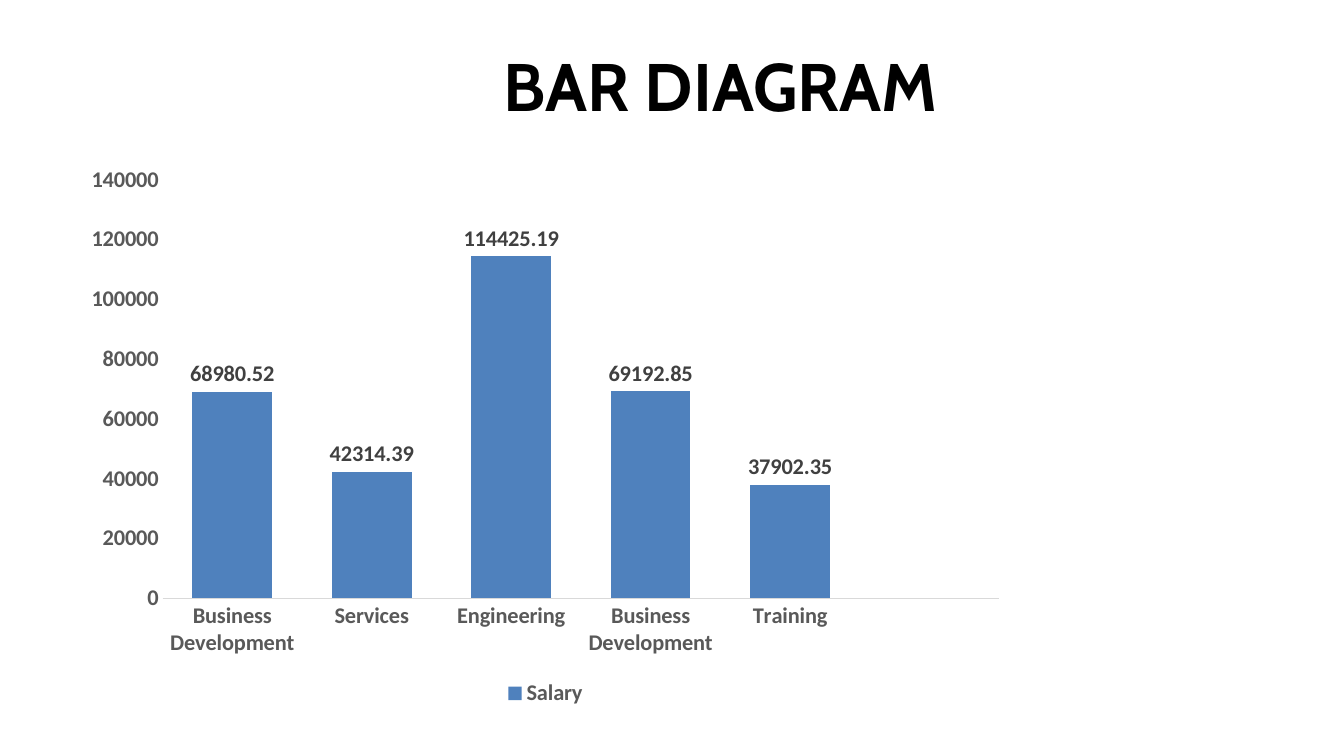
from typing import NamedTuple, Optional

from pptx import Presentation
from pptx import util as u
from pptx.chart.chart import Chart
from pptx.chart.data import CategoryChartData
from pptx.dml.color import RGBColor
from pptx.enum import chart as charts, text
from pptx.text.text import Font

COLOURS = {
    "title": "000000",
    "bar": "4F81BD",
    "axis_text": "595959",
    "label_text": "404040",
    "axis_line": "D9D9D9",
}


class Department(NamedTuple):
    name: str
    salary: Optional[float]


DEPARTMENTS = [
    Department("Business Development", 68980.52),
    Department("Services", 42314.39),
    Department("Engineering", 114425.19),
    Department("Business Development", 69192.85),
    Department("Training", 37902.35),
    Department("", None),
]


def colour(name: str) -> RGBColor:
    return RGBColor.from_string(COLOURS[name])


def style_font(font: Font, family: str, size: float, colour_name: str) -> None:
    font.name = family
    font.size = u.Pt(size)
    font.bold = True
    font.color.rgb = colour(colour_name)


def add_title(slide, wording: str) -> None:
    shape = slide.shapes.add_textbox(u.Cm(3.33), u.Cm(1.12), u.Cm(29.67), u.Cm(2.11))
    frame = shape.text_frame
    frame.word_wrap = True
    frame.margin_left = frame.margin_right = frame.margin_top = frame.margin_bottom = 0
    frame.text = wording
    paragraph = frame.paragraphs[0]
    paragraph.alignment = text.PP_ALIGN.CENTER
    style_font(paragraph.runs[0].font, "Cabin", 48, "title")


def style_axes(chart: Chart) -> None:
    for axis in (chart.category_axis, chart.value_axis):
        axis.has_major_gridlines = False
        axis.major_tick_mark = axis.minor_tick_mark = charts.XL_TICK_MARK.NONE
        style_font(axis.tick_labels.font, "Calibri", 16, "axis_text")
    chart.category_axis.format.line.color.rgb = colour("axis_line")
    chart.category_axis.format.line.width = u.Pt(0.75)
    chart.value_axis.format.line.fill.background()
    chart.value_axis.minimum_scale = 0
    chart.value_axis.maximum_scale = 140000
    chart.value_axis.major_unit = 20000


def style_bars(chart: Chart) -> None:
    plot = chart.plots[0]
    plot.gap_width = 75
    plot.vary_by_categories = False
    series = plot.series[0]
    series.format.fill.solid()
    series.format.fill.fore_color.rgb = colour("bar")
    labels = series.data_labels
    labels.show_value = True
    labels.position = charts.XL_LABEL_POSITION.OUTSIDE_END
    style_font(labels.font, "Calibri", 16, "label_text")


def add_salary_chart(slide, departments: list[Department]) -> None:
    data = CategoryChartData()
    data.categories = [department.name for department in departments]
    data.add_series("Salary", [department.salary for department in departments])
    chart = slide.shapes.add_chart(
        charts.XL_CHART_TYPE.COLUMN_CLUSTERED,
        u.Cm(1.83), u.Cm(3.91), u.Cm(23.83), u.Cm(14.02), data,
    ).chart
    chart.has_title = False
    chart.font.name = "Arial"
    chart.font.size = u.Pt(10)
    chart.has_legend = True
    chart.legend.position = charts.XL_LEGEND_POSITION.BOTTOM
    chart.legend.include_in_layout = False
    style_font(chart.legend.font, "Calibri", 16, "axis_text")
    style_axes(chart)
    style_bars(chart)


def main() -> None:
    presentation = Presentation()
    presentation.slide_width = u.Cm(33.87)
    presentation.slide_height = u.Cm(19.05)
    slide = presentation.slides.add_slide(presentation.slide_layouts[6])
    add_title(slide, "BAR DIAGRAM")
    add_salary_chart(slide, DEPARTMENTS)
    presentation.save("out.pptx")


if __name__ == "__main__":
    main()
